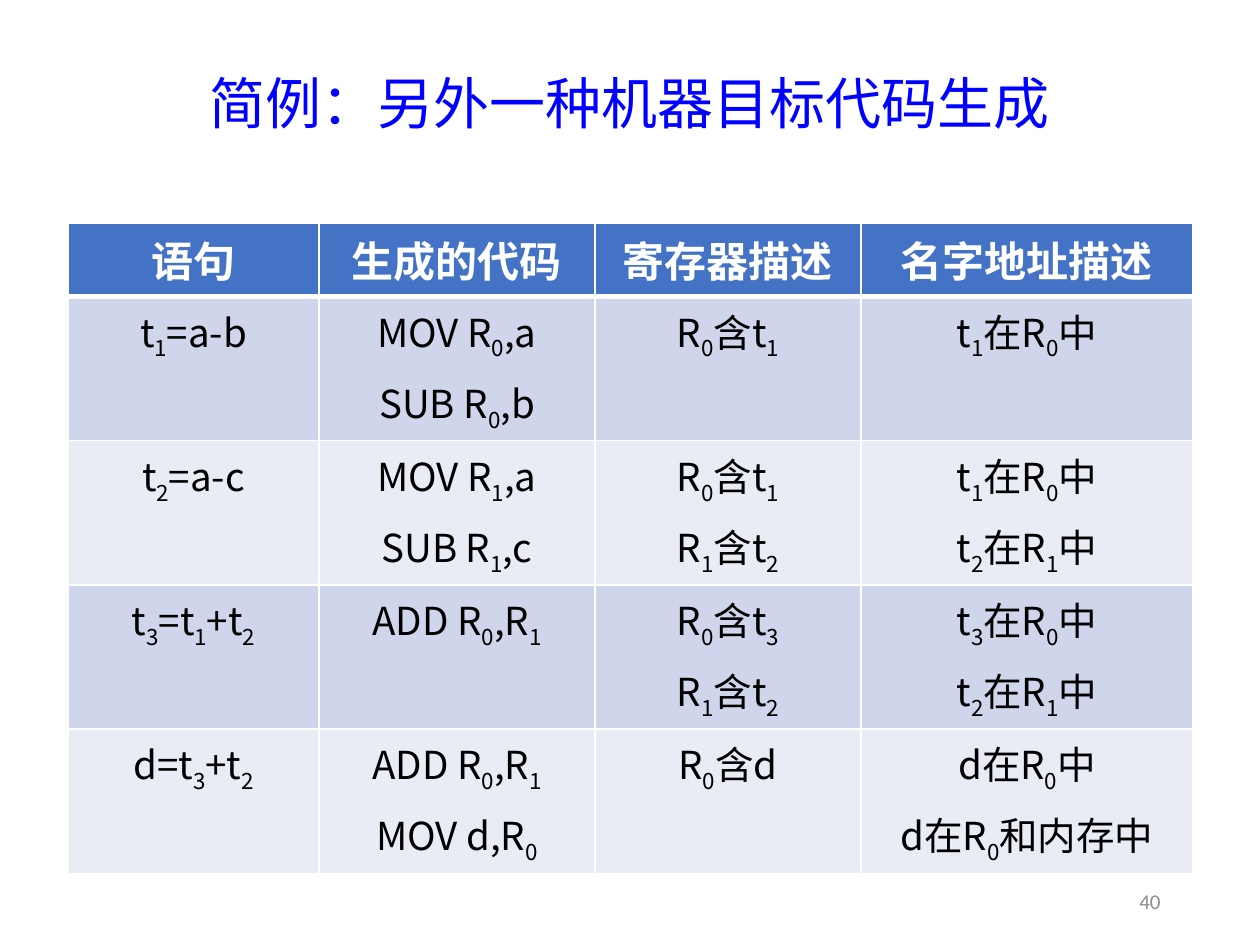
import pptx
import pptx.util
import pptx.dml.color
import pptx.enum.text
import pptx.oxml
import pptx.oxml.ns

PX = 914400 / 126
COLORS = {
    "title": "0000FF",
    "header": "4472C4",
    "odd": "CFD5EA",
    "even": "E9EBF5",
    "white": "FFFFFF",
    "text": "000000",
    "number": "8C8C8C",
}
ALIGN = pptx.enum.text.PP_ALIGN
MIDDLE = pptx.enum.text.MSO_ANCHOR.MIDDLE
NS = pptx.oxml.ns.nsdecls("a")


def box(*lengths):
    return [pptx.util.Emu(round(n * PX)) for n in lengths]


def style(r, size, font, color, bold=False):
    r.font.size = pptx.util.Pt(size)
    r.font.name = font
    r.font.bold = bold
    r.font.color.rgb = pptx.dml.color.RGBColor.from_string(COLORS[color])
    r.font._element.append(pptx.oxml.parse_xml(f'<a:ea {NS} typeface="{font}"/>'))


prs = pptx.Presentation()
prs.slide_width, prs.slide_height = box(1260, 945)
s = prs.slides.add_slide(prs.slide_layouts[5])

sp = s.shapes.title
sp.left, sp.top, sp.width, sp.height = box(87, 50, 1086, 112)
tf = sp.text_frame
tf.text = "简例：另外一种机器目标代码生成"
tf.vertical_anchor = MIDDLE
p = tf.paragraphs[0]
p.alignment = ALIGN.CENTER
p.line_spacing = 0.9
style(p.runs[0], 32, "Noto Sans CJK JP", "title")

rows = [
    ["语句", "生成的代码", "寄存器描述", "名字地址描述"],
    ["t_1=a-b", "MOV R_0,a\nSUB R_0,b", "R_0含t_1", "t_1在R_0中"],
    ["t_2=a-c", "MOV R_1,a\nSUB R_1,c", "R_0含t_1\nR_1含t_2", "t_1在R_0中\nt_2在R_1中"],
    ["t_3=t_1+t_2", "ADD R_0,R_1", "R_0含t_3\nR_1含t_2", "t_3在R_0中\nt_2在R_1中"],
    ["d=t_3+t_2", "ADD R_0,R_1\nMOV d,R_0", "R_0含d", "d在R_0中\nd在R_0和内存中"],
]
frame = s.shapes.add_table(len(rows), len(rows[0]), *box(68, 223, 1125, 525))
table = frame.table
for column, width in zip(table.columns, box(251, 276, 266, 332)):
    column.width = width
for row in table.rows:
    row.height = box(59)[0]
frame.height = box(525)[0]

for i, row in enumerate(rows):
    header = i == 0
    fill = "header" if header else "odd" if i % 2 else "even"
    for j, text in enumerate(row):
        cell = table.cell(i, j)
        tcPr = cell._tc.get_or_add_tcPr()
        for side in "LRTB":
            width = 3 if (i, side) in ((0, "B"), (1, "T")) else 1
            tcPr.append(pptx.oxml.parse_xml(
                f'<a:ln{side} {NS} w="{pptx.util.Pt(width)}"><a:solidFill>'
                f'<a:srgbClr val="{COLORS["white"]}"/></a:solidFill></a:ln{side}>'))
        cell.fill.solid()
        cell.fill.fore_color.rgb = pptx.dml.color.RGBColor.from_string(COLORS[fill])
        tf = cell.text_frame
        for n, line in enumerate(text.split("\n")):
            p = tf.add_paragraph() if n else tf.paragraphs[0]
            p.alignment = ALIGN.CENTER
            p.space_after = pptx.util.Pt(6)
            first, *others = line.split("_")
            parts = [(first, False)]
            for part in others:
                parts += [(part[0], True), (part[1:], False)]
            for part, subscript in parts:
                if not part:
                    continue
                r = p.add_run()
                r.text = part
                style(r, 24 if header else 22, "Noto Sans CJK SC",
                      "white" if header else "text", header)
                if subscript:
                    r.font._element.set("baseline", "-25000")

sp = s.shapes.add_textbox(*box(890, 876, 283, 50))
tf = sp.text_frame
tf.word_wrap = True
tf.vertical_anchor = MIDDLE
tf.text = "40"
p = tf.paragraphs[0]
p.alignment = ALIGN.RIGHT
style(p.runs[0], 12, "Calibri", "number")

prs.save("out.pptx")
